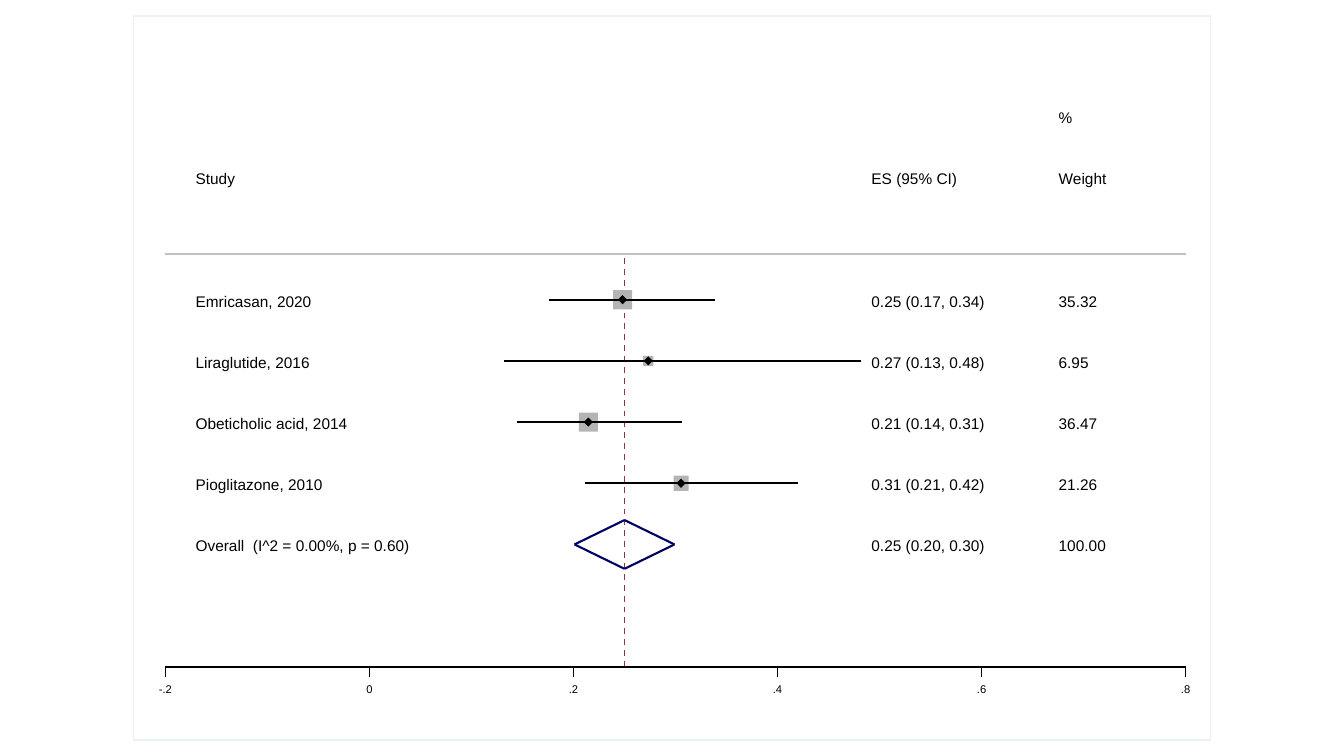
"""Build a forest plot slide of four studies and their pooled effect."""
from dataclasses import dataclass

from lxml.etree import SubElement
from pptx import Presentation
from pptx.dml.color import RGBColor
from pptx.enum.shapes import MSO_CONNECTOR, MSO_SHAPE
from pptx.enum.text import PP_ALIGN
from pptx.oxml.ns import qn
from pptx.util import Pt


@dataclass(frozen=True)
class Theme:
    font: str = "Arial"
    body_size: float = 11
    tick_size: float = 8
    thin: float = 1
    thick: float = 1.5
    ink: RGBColor = RGBColor(0x00, 0x00, 0x00)
    border: RGBColor = RGBColor(0xEA, 0xF2, 0xF3)
    rule: RGBColor = RGBColor(0xC0, 0xC0, 0xC0)
    pooled: RGBColor = RGBColor(0x90, 0x35, 0x3B)
    weight: RGBColor = RGBColor(0xB4, 0xB4, 0xB4)
    overall: RGBColor = RGBColor(0x00, 0x00, 0x64)


theme = Theme()
prs = Presentation()
prs.slide_width, prs.slide_height = Pt(960), Pt(540)
slide = prs.slides.add_slide(prs.slide_layouts[6])


def draw_line(x1, y1, x2, y2, color, width):
    line = slide.shapes.add_connector(
        MSO_CONNECTOR.STRAIGHT, Pt(x1), Pt(y1), Pt(x2), Pt(y2))
    line.line.color.rgb = color
    line.line.width = Pt(width)
    SubElement(line._element.spPr, qn("a:effectLst"))


def write_text(text, left, top, width, height, size, align=PP_ALIGN.LEFT):
    frame = slide.shapes.add_textbox(
        Pt(left), Pt(top), Pt(width), Pt(height)).text_frame
    frame.margin_left = frame.margin_right = 0
    frame.margin_top = frame.margin_bottom = 0
    frame.word_wrap = True
    paragraph = frame.paragraphs[0]
    paragraph.alignment = align
    run = paragraph.add_run()
    run.text = text
    run.font.name = theme.font
    run.font.size = Pt(size)
    run.font.color.rgb = theme.ink


axis_left, axis_right, axis_y = 118.2, 846.9, 476.4
axis_min, axis_max = -20, 80
percent_width = (axis_right - axis_left) / (axis_max - axis_min)
first_row, row_step = 214.1, 43.7
rule_y = 181.4
columns = [(139.7, 157), (622.5, 86), (756.2, 40)]

border = slide.shapes.add_shape(
    MSO_SHAPE.RECTANGLE, Pt(95.3), Pt(11.5), Pt(769.4), Pt(517))
border.shadow.inherit = False
border.fill.background()
border.line.color.rgb = theme.border
border.line.width = Pt(theme.thin)

draw_line(axis_left, rule_y, axis_right, rule_y, theme.rule, theme.thin)

pooled_x = axis_left + (25 - axis_min) * percent_width
pooled_top, dash_length, dash_slots, hidden_slot = 184.4, 4.2, 38, 33
dash_step = (axis_y - pooled_top - dash_length) / (dash_slots - 1)
for slot in range(dash_slots):
    if slot != hidden_slot:
        dash_y = axis_y - slot * dash_step
        draw_line(pooled_x, dash_y, pooled_x, dash_y - dash_length,
                  theme.pooled, theme.thin)

table_rows = [
    (-3, ("", "", "%")),
    (-2, ("Study", "ES (95% CI)", "Weight")),
    (0, ("Emricasan, 2020", "0.25 (0.17, 0.34)", "35.32")),
    (1, ("Liraglutide, 2016", "0.27 (0.13, 0.48)", "6.95")),
    (2, ("Obeticholic acid, 2014", "0.21 (0.14, 0.31)", "36.47")),
    (3, ("Pioglitazone, 2010", "0.31 (0.21, 0.42)", "21.26")),
    (4, ("Overall  (I^2 = 0.00%, p = 0.60)", "0.25 (0.20, 0.30)", "100.00")),
]
for row, cells in table_rows:
    for (left, width), text in zip(columns, cells):
        if text:
            write_text(text, left, first_row + row * row_step - 5.8,
                       width, 15, theme.body_size)

studies = [
    (24.81, 17.55, 33.85, 13.7),
    (27.33, 13.2, 48.18, 7.2),
    (21.45, 14.49, 30.59, 13.7),
    (30.54, 21.16, 41.96, 10.8),
]
for row, (effect, low, high, weight_side) in enumerate(studies):
    y = first_row + row * row_step
    effect_x, low_x, high_x = (
        axis_left + (value - axis_min) * percent_width
        for value in (effect, low, high))
    for kind, side, color in (
            (MSO_SHAPE.RECTANGLE, weight_side, theme.weight),
            (MSO_SHAPE.DIAMOND, 6.5, theme.ink)):
        marker = slide.shapes.add_shape(
            kind, Pt(effect_x - side / 2), Pt(y - side / 2), Pt(side), Pt(side))
        marker.shadow.inherit = False
        marker.fill.solid()
        marker.fill.fore_color.rgb = color
        marker.line.fill.background()
    draw_line(low_x, y, high_x, y, theme.ink, theme.thick)

overall_y, half_height = first_row + 4 * row_step, 17.4
overall_low, overall_high = (
    axis_left + (value - axis_min) * percent_width for value in (20.1, 29.9))
corners = [
    (overall_low, overall_y),
    (pooled_x, overall_y - half_height),
    (overall_high, overall_y),
    (pooled_x, overall_y + half_height),
]
for start, end in zip(corners, corners[1:] + corners[:1]):
    draw_line(*start, *end, theme.overall, theme.thick)

draw_line(axis_left, axis_y, axis_right, axis_y, theme.ink, theme.thin)
tick_labels = ["-.2", "0", ".2", ".4", ".6", ".8"]
tick_step = (axis_right - axis_left) / (len(tick_labels) - 1)
for index, label in enumerate(tick_labels):
    x = axis_left + index * tick_step
    draw_line(x, axis_y, x, axis_y + 7.2, theme.ink, theme.thin)
    write_text(label, x - 10, 487.4, 20, 11, theme.tick_size, PP_ALIGN.CENTER)

prs.save("out.pptx")
